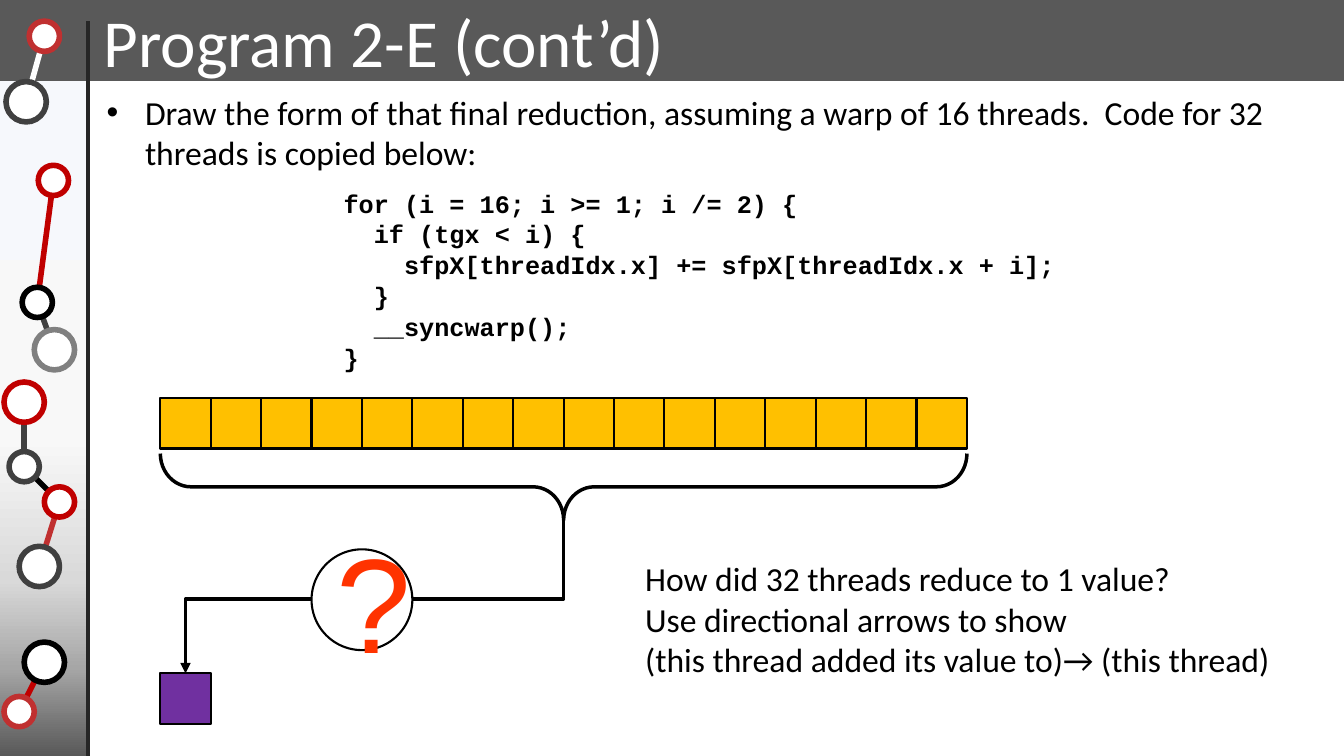
from lxml import etree
from pptx import Presentation
from pptx.dml.color import RGBColor
from pptx.enum.shapes import MSO_CONNECTOR, MSO_SHAPE
from pptx.enum.text import MSO_ANCHOR, MSO_AUTO_SIZE, PP_ALIGN
from pptx.oxml.ns import qn
from pptx.util import Inches, Pt

RECT, OVAL, BRACE = MSO_SHAPE.RECTANGLE, MSO_SHAPE.OVAL, MSO_SHAPE.RIGHT_BRACE
STRAIGHT, ELBOW = MSO_CONNECTOR.STRAIGHT, MSO_CONNECTOR.ELBOW
MIDDLE, CENTER = MSO_ANCHOR.MIDDLE, PP_ALIGN.CENTER
GROW, FIXED = MSO_AUTO_SIZE.SHAPE_TO_FIT_TEXT, MSO_AUTO_SIZE.NONE

COLORS = {
    "black": "000000", "white": "FFFFFF", "header": "595959", "rule": "262626",
    "red": "C00000", "soft_red": "C03030", "dark": "404040", "gray": "808080",
    "thread": "FFC000", "result": "7030A0", "question": "FF3300",
}
SIDEBAR_STOPS = [(0, "F6F8FC"), (53, "F8F8F8"), (74, "D9D9D9"),
                 (87, "A6A6A6"), (100, "595959")]

# Sidebar graph: centre x, centre y, diameter, outline
NODES = {
    "a": (0.44, 0.36, 0.3, "soft_red"), "b": (0.26, 1.01, 0.4, "dark"),
    "c": (0.53, 1.79, 0.3, "red"), "d": (0.37, 3.0, 0.3, "black"),
    "e": (0.54, 3.47, 0.4, "gray"), "f": (0.24, 3.99, 0.4, "red"),
    "g": (0.24, 4.63, 0.3, "dark"), "h": (0.59, 4.98, 0.3, "red"),
    "i": (0.39, 5.62, 0.4, "dark"), "j": (0.44, 6.57, 0.4, "black"),
    "k": (0.19, 7.06, 0.3, "soft_red"),
}
LINKS = [("k", "j", "red"), ("h", "i", "soft_red"), ("h", "g", "black"),
         ("d", "e", "dark"), ("d", "c", "red"), ("a", "b", "white"),
         ("f", "g", "dark")]

TASK = ("Draw the form of that final reduction, assuming a warp of 16 threads.  "
        "Code for 32 threads is copied below:")
CODE = ["for (i = 16; i >= 1; i /= 2) {",
        "  if (tgx < i) {",
        "    sfpX[threadIdx.x] += sfpX[threadIdx.x + i];",
        "  }",
        "  __syncwarp();",
        "}"]
HINT = ["How did 32 threads reduce to 1 value?",
        "Use directional arrows to show",
        "(this thread added its value to)\u2192 (this thread)"]


def rgb(name):
    """Look up a named colour."""
    return RGBColor.from_string(COLORS[name])


def add_outlined(slide, kind, box, fill=None, line=None, width=1.0):
    """Add a preset shape with optional fill and outline."""
    shape = slide.shapes.add_shape(kind, *map(Inches, box))
    shape.shadow.inherit = False
    if fill:
        shape.fill.solid()
        shape.fill.fore_color.rgb = rgb(fill)
    else:
        shape.fill.background()
    if line:
        shape.line.color.rgb = rgb(line)
        shape.line.width = Pt(width)
    else:
        shape.line.fill.background()
    return shape


def add_line(slide, start, end, color, width, kind=STRAIGHT):
    """Add a connector without a shadow."""
    line = slide.shapes.add_connector(kind, *map(Inches, (*start, *end)))
    line.line.color.rgb = rgb(color)
    line.line.width = Pt(width)
    etree.SubElement(line._element.spPr, qn("a:effectLst"))
    return line


def write(frame, lines, size, font="Calibri", color="black", bold=False,
          align=None, wrap=True, fit=FIXED, pitch=None):
    """Fill a text frame, one paragraph for each line."""
    frame.word_wrap = wrap
    frame.auto_size = fit
    for index, line in enumerate(lines):
        paragraph = frame.add_paragraph() if index else frame.paragraphs[0]
        paragraph.alignment = align
        if pitch:
            paragraph.line_spacing = Pt(pitch)
        run = paragraph.add_run()
        run.text = line
        run.font.size, run.font.name, run.font.bold = Pt(size), font, bold
        run.font.color.rgb = rgb(color)


def add_text(slide, box, lines, size, **style):
    """Add a text box and return its frame."""
    frame = slide.shapes.add_textbox(*map(Inches, box)).text_frame
    write(frame, lines, size, **style)
    return frame


def shade_down(shape, stops):
    """Give a shape a top-to-bottom gradient."""
    shape.fill.gradient()
    shape.fill.gradient_angle = 270
    stop_list = shape._element.spPr.find(qn("a:gradFill")).find(qn("a:gsLst"))
    stop_list.clear()
    for percent, color in stops:
        stop = etree.SubElement(stop_list, qn("a:gs"), pos=str(percent * 1000))
        etree.SubElement(stop, qn("a:srgbClr"), val=color)


def frame_slide(slide, box, title):
    """Draw the header band, title and sidebar graph."""
    left, top, width, height = box
    side, band = 0.87, 0.8
    sidebar = add_outlined(slide, RECT, (left, top + band, side, height - band))
    shade_down(sidebar, SIDEBAR_STOPS)
    add_outlined(slide, RECT, (left, top, width, band), "header", "header")
    for first, second, color in LINKS:
        ends = [(left + NODES[n][0], top + NODES[n][1]) for n in (first, second)]
        add_line(slide, *ends, color, 4)
    for x, y, size, color in NODES.values():
        node = (left + x - size / 2, top + y - size / 2, size, size)
        add_outlined(slide, OVAL, node, "white", color, 4)
    add_line(slide, (left + side, top + 0.21), (left + side, top + height), "rule", 3)
    add_text(slide, (left + 0.93, top - 0.05, 5.82, 0.91), [title], 48,
             color="white", wrap=False, fit=GROW)


def add_task(slide, box):
    """Write the bulleted task and the code under it."""
    left, top, width, _ = box
    task = add_text(slide, (left, top, width, 0.97), [TASK], 24)
    props = task.paragraphs[0]._p.get_or_add_pPr()
    props.set("marL", str(Inches(0.38)))
    props.set("indent", str(Inches(-0.38)))
    etree.SubElement(props, qn("a:buFont"), typeface="Arial")
    etree.SubElement(props, qn("a:buChar"), char="\u2022")
    add_text(slide, (left + 2.35, top + 0.95, 7.3, 1.92), CODE, 18,
             font="Courier New", bold=True, fit=GROW, pitch=22)


def add_reduction(slide, box, threads=16):
    """Draw the thread row collapsing to a single value."""
    left, top, width, height = box
    cell = width / threads
    for thread in range(threads):
        add_outlined(slide, RECT, (left + thread * cell, top, cell, cell),
                     "thread", "black", 1.5)
    add_outlined(slide, RECT, (left, top + height - cell, cell, cell),
                 "result", "black", 1.5)

    middle, depth, brace_top = left + width / 2, 0.66, top + 0.55
    brace_center = brace_top + depth / 2
    brace = add_outlined(slide, BRACE, (middle - depth / 2, brace_center - width / 2,
                                        depth, width), line="black", width=2.5)
    brace.rotation = 90
    brace.adjustments[0], brace.adjustments[1] = 0.46, 0.5

    # A quarter turn makes the elbow leave and arrive vertically.
    start_x, start_y = middle, brace_top + depth
    end_x, end_y = left + cell / 2, top + height - cell
    center_x, center_y = (start_x + end_x) / 2, (start_y + end_y) / 2
    half_x, half_y = (end_y - start_y) / 2, (start_x - end_x) / 2
    arrow = add_line(slide, (center_x + half_x, center_y + half_y),
                     (center_x - half_x, center_y - half_y), "black", 2.5, ELBOW)
    props = arrow._element.spPr
    props.find(qn("a:xfrm")).set("rot", str(270 * 60000))
    guides = props.find(qn("a:prstGeom")).get_or_add_avLst()
    etree.SubElement(guides, qn("a:gd"), name="adj1", fmla="val 51400")
    etree.SubElement(props.find(qn("a:ln")), qn("a:tailEnd"), type="triangle")

    mystery = add_outlined(slide, OVAL, (left + 3 * cell, top + 1.5, 1, 1),
                           "white", "black", 1.5)
    mystery.text_frame.vertical_anchor = MIDDLE
    write(mystery.text_frame, ["?"], 96, font="Arial", color="question", align=CENTER)
    add_text(slide, (left + 4.71, top + 1.54, 6.48, 1.31), HINT, 24,
             wrap=False, fit=GROW)


def main():
    """Build and save the slide."""
    deck = Presentation()
    deck.slide_width, deck.slide_height = Inches(13.33), Inches(7.5)
    slide = deck.slides.add_slide(deck.slide_layouts[6])
    frame_slide(slide, (0, 0, 13.33, 7.5), "Program 2-E (cont\u2019d)")
    add_task(slide, (0.96, 0.86, 11.89, 2.87))
    add_reduction(slide, (1.59, 3.95, 8, 3.23))
    deck.save("out.pptx")


main()
